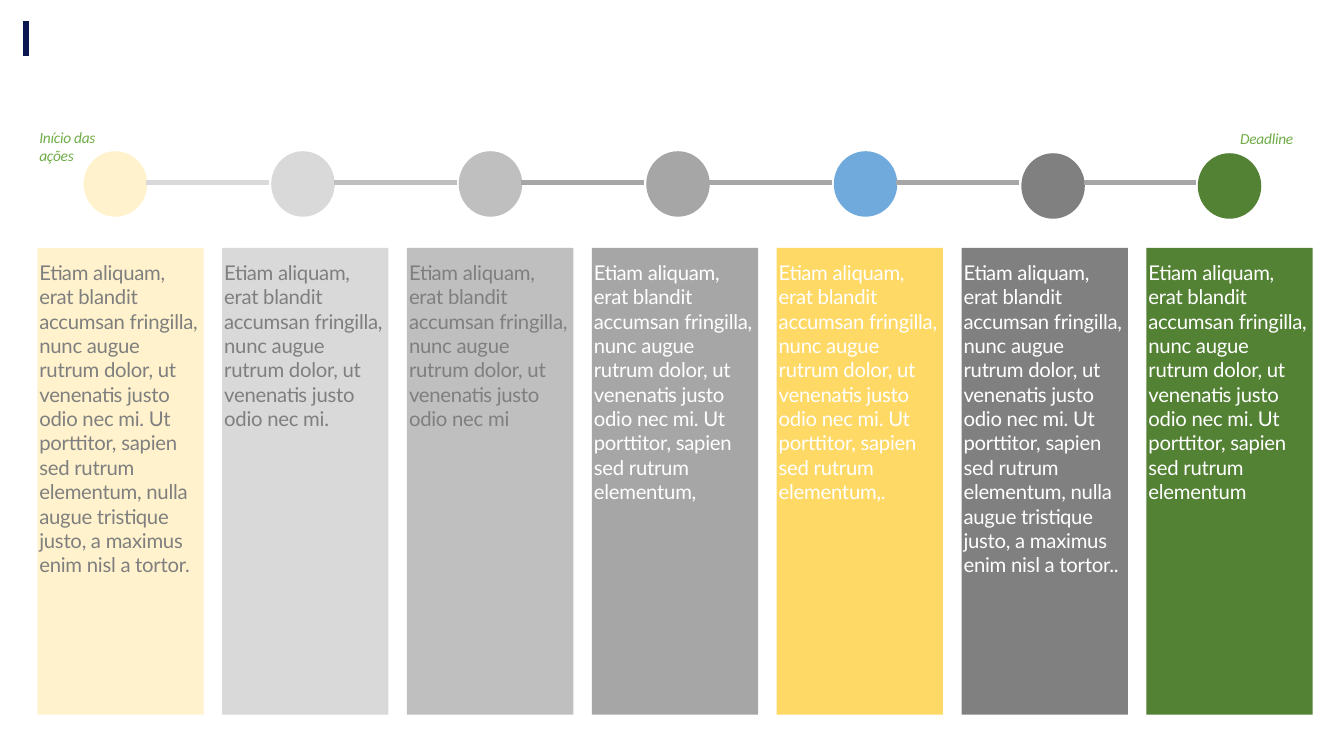
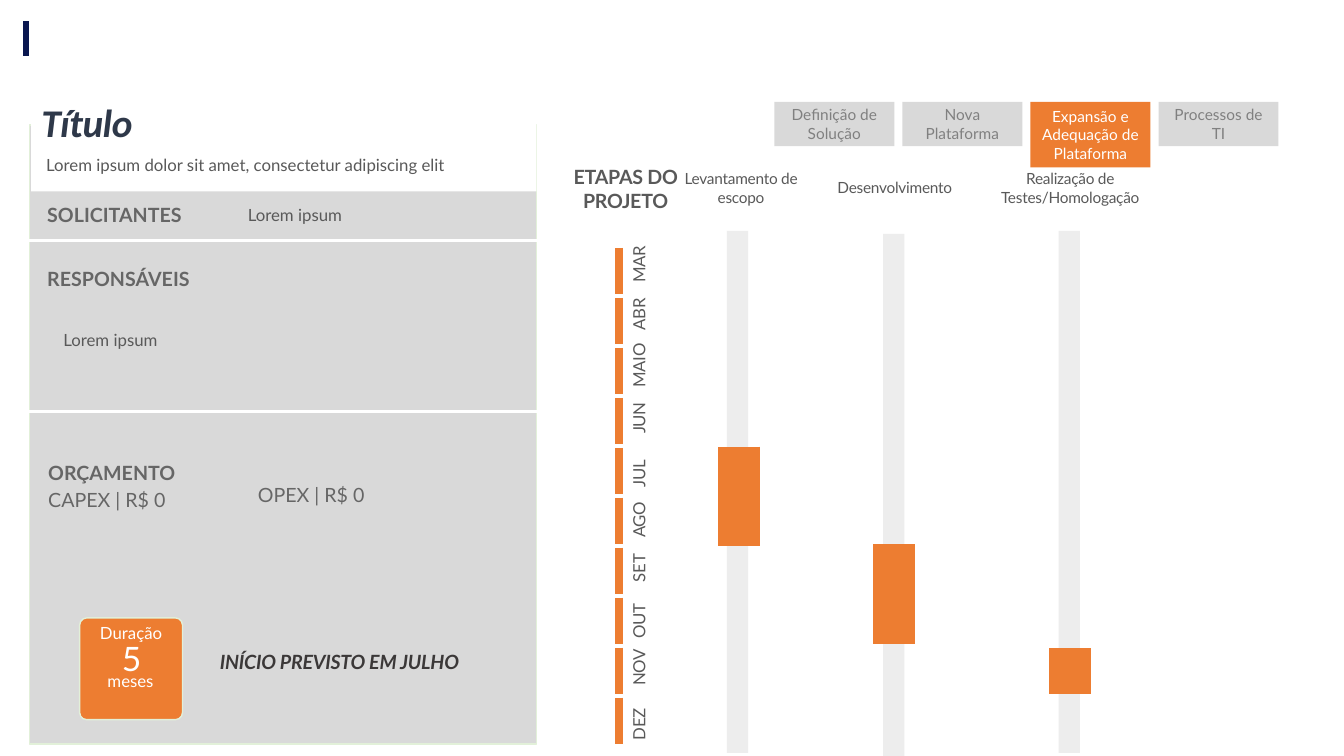
from pptx import Presentation
from pptx.dml.color import RGBColor
from pptx.enum.shapes import MSO_CONNECTOR, MSO_SHAPE
from pptx.enum.text import MSO_ANCHOR, PP_ALIGN
from pptx.util import Inches, Pt
from pptx.oxml.ns import qn
from lxml.etree import SubElement

NAVY, ORANGE, GREEN, WHITE = "0A1750", "ED7D31", "70AD47", "FFFFFF"
PANEL, PANEL_EDGE, TRACK = "D9D9D9", "E2F0D9", "EDEDED"
BODY, HEADING, MUTED, TAB = "595959", "666666", "7F7F7F", "808080"


def rgb(value):
    """Turn a hex string into a colour."""
    return RGBColor.from_string(value)


class Deck:
    """Holds the presentation, its style and the current slide."""

    def __init__(self):
        """Start a wide presentation."""
        self.prs = Presentation()
        self.prs.slide_width = Inches(13.33)
        self.prs.slide_height = Inches(7.5)

    def new_slide(self):
        """Add a blank slide with the accent bar."""
        self.s = self.prs.slides.add_slide(self.prs.slide_layouts[6])
        self.line(0.26, 0.21, 0.26, 0.56, NAVY, 4.5)

    def line(self, x1, y1, x2, y2, color, width):
        """Draw a straight line."""
        ln = self.s.shapes.add_connector(
            MSO_CONNECTOR.STRAIGHT, Inches(x1), Inches(y1), Inches(x2), Inches(y2))
        ln.line.color.rgb = rgb(color)
        ln.line.width = Pt(width)
        SubElement(ln._element.spPr, qn("a:effectLst"))

    def shape(self, x, y, w, h, fill, kind=MSO_SHAPE.RECTANGLE, edge=None):
        """Draw a filled shape, with an outline if given."""
        sp = self.s.shapes.add_shape(kind, Inches(x), Inches(y), Inches(w), Inches(h))
        sp.shadow.inherit = False
        sp.fill.solid()
        sp.fill.fore_color.rgb = rgb(fill)
        if edge:
            sp.line.color.rgb = rgb(edge)
            sp.line.width = Pt(1)
        else:
            sp.line.fill.background()
        return sp

    def add_run(self, tf, text, size, color, font="Lato", bold=False, italic=False,
                center=False, spacing=None, tracking=0):
        """Put one styled run into a text frame."""
        tf.word_wrap = True
        p = tf.paragraphs[0]
        p.alignment = PP_ALIGN.CENTER if center else PP_ALIGN.LEFT
        if spacing:
            p.line_spacing = spacing
        r = p.add_run()
        r.text = text
        r.font.name, r.font.size = font, Pt(size)
        r.font.bold, r.font.italic = bold, italic
        r.font.color.rgb = rgb(color)
        if tracking:
            r._r.get_or_add_rPr().set("spc", str(tracking))

    def text(self, x, y, w, h, text, size, color, **style):
        """Add a text box with normal margins."""
        sp = self.s.shapes.add_textbox(Inches(x), Inches(y), Inches(w), Inches(h))
        self.add_run(sp.text_frame, text, size, color, **style)
        return sp

    def label(self, x, y, w, h, text, size, color, tracking=-20, **style):
        """Add a tightly set text box without margins."""
        sp = self.text(x, y, w, h, text, size, color, tracking=tracking, **style)
        tf = sp.text_frame
        tf.margin_left = tf.margin_right = tf.margin_top = tf.margin_bottom = 0
        return sp

    def tab(self, x, h, text, fill, color):
        """Add a section tab."""
        sp = self.shape(x, 1.01, 1.19, h, fill)
        sp.text_frame.vertical_anchor = MSO_ANCHOR.MIDDLE
        self.add_run(sp.text_frame, text, 11, color, center=True)


def timeline_slide(deck):
    """Build the timeline with seven columns."""
    deck.new_slide()
    short = ("Etiam aliquam, erat blandit accumsan fringilla, nunc augue rutrum dolor, "
             "ut venenatis justo odio nec mi")
    medium = short + ". Ut porttitor, sapien sed rutrum elementum"
    full = medium + ", nulla augue tristique justo, a maximus enim nisl a tortor."
    columns = [
        ("FFF2CC", "FFF2CC", MUTED, full),
        ("D9D9D9", "D9D9D9", MUTED, short + "."),
        ("BFBFBF", "BFBFBF", MUTED, short),
        ("A6A6A6", "A6A6A6", WHITE, medium + ","),
        ("70A9DB", "FFD966", WHITE, medium + ",."),
        ("808080", "808080", WHITE, full + "."),
        ("548235", "548235", WHITE, medium),
    ]
    lefts = [0.83 + 1.86 * i for i in range(6)] + [11.88]
    links = ["D9D9D9", "BFBFBF"] + ["A6A6A6"] * 4
    for i, (dot, fill, color, body) in enumerate(columns):
        deck.shape(lefts[i], 1.5 if i < 5 else 1.52, 0.63, 0.65, dot, MSO_SHAPE.OVAL)
        x = 0.37 + 11 / 6 * i
        deck.shape(x, 2.46, 1.65, 4.63, fill)
        deck.label(x + 0.02, 2.58, 1.61, 0.67, body, 14.5, color)
    for left, right, color in zip(lefts, lefts[1:], links):
        deck.line(left + 0.62, 1.81, right - 0.02, 1.81, color, 3)
    note = dict(font="Calibri", italic=True)
    deck.label(0.39, 1.27, 0.61, 0.23, "Início das ações", 11, GREEN, **note)
    deck.label(12.3, 1.28, 0.66, 0.42, "Deadline", 11, GREEN, **note)


def project_panel(deck):
    """Draw the project summary on the left."""
    deck.shape(0.29, 1.24, 5.03, 6.14, PANEL, edge=PANEL_EDGE)
    deck.shape(0.31, 0.92, 5.01, 0.98, WHITE)
    deck.label(0.41, 1.02, 5, 0.45, "Título", 28, "2E3849", tracking=-30,
               font="Calibri", bold=True, italic=True, spacing=0.92)
    deck.text(0.36, 1.49, 4.96, 0.3,
              "Lorem ipsum dolor sit amet, consectetur adipiscing elit", 12, BODY)
    for x, y, text, bold in [
        (0.37, 1.96, "SOLICITANTES", True),
        (0.37, 2.6, "RESPONSÁVEIS", True),
        (0.38, 4.52, "ORÇAMENTO", True),
        (0.38, 4.79, "CAPEX | R$ 0", False),
        (2.46, 4.74, "OPEX | R$ 0", False),
    ]:
        deck.text(x, y, 1.9, 0.34, text, 14, HEADING, bold=bold)
    for x, y in [(2.36, 1.98), (0.53, 3.22)]:
        deck.text(x, y, 3.72, 0.3, "Lorem ipsum", 12, BODY)
    for y in (2.39, 4.08):
        deck.line(0.12, y, 5.46, y, WHITE, 2.25)
    badge = deck.shape(0.79, 6.13, 1.02, 1.01, ORANGE, MSO_SHAPE.ROUNDED_RECTANGLE, PANEL_EDGE)
    badge.adjustments[0] = 0.07
    deck.text(0.84, 6.13, 0.92, 0.3, "Duração", 12, WHITE, center=True)
    deck.label(0.97, 6.39, 0.67, 0.34, "5", 24, WHITE, tracking=0, center=True, spacing=0.85)
    deck.text(0.93, 6.61, 0.73, 0.3, "meses", 12, WHITE, center=True)
    deck.label(2.18, 6.45, 2.68, 0.58, "INÍCIO PREVISTO EM JULHO", 14, "3B3838",
               bold=True, italic=True)


def schedule(deck):
    """Draw the tabs, months and stages on the right."""
    tabs = ["Definição de Solução", "Nova Plataforma",
            "Expansão e Adequação de Plataforma", "Processos de TI"]
    for i, text in enumerate(tabs):
        active = i == 2
        deck.tab(7.68 + 1.27 * i, 0.65 if active else 0.44, text,
                 ORANGE if active else PANEL, WHITE if active else TAB)
    deck.label(5.61, 1.64, 1.19, 0.58, "ETAPAS DO PROJETO", 14, BODY, bold=True, center=True)

    months = [("MAR", 2.39), ("ABR", 2.86), ("MAIO", 3.43), ("JUN", 3.89), ("JUL", 4.42),
              ("AGO", 4.92), ("SET", 5.36), ("OUT", 5.92), ("NOV", 6.39), ("DEZ", 6.93)]
    for i, (month, y) in enumerate(months):
        top = 2.46 + 4.46 / 9 * i
        deck.line(6.14, top, 6.14, top + 0.46, ORANGE, 6)
        deck.label(6.09, y, 0.56, 0.27, month, 12, BODY).rotation = 270

    stages = [
        ("Levantamento de escopo", 6.79, 1.68, 1.12, 7.21, 2.29, 7.33, 4.43, 5.42),
        ("Desenvolvimento", 8.16, 1.77, 1.43, 8.76, 2.32, 8.87, 5.4, 6.39),
        ("Realização de Testes/Homologação", 9.76, 1.68, 1.71, 10.5, 2.29, 10.61, 6.43, 6.89),
    ]
    for name, x, y, w, track_x, track_y, bar_x, start, end in stages:
        deck.label(x, y, w, 0.42, name, 11, BODY, center=True)
        deck.shape(track_x, track_y, 0.21, 5.18, TRACK)
        deck.line(bar_x, start, bar_x, end, ORANGE, 30)


def main():
    """Build and save the slides."""
    deck = Deck()
    timeline_slide(deck)
    deck.new_slide()
    project_panel(deck)
    schedule(deck)
    deck.prs.save("out.pptx")


if __name__ == "__main__":
    main()
